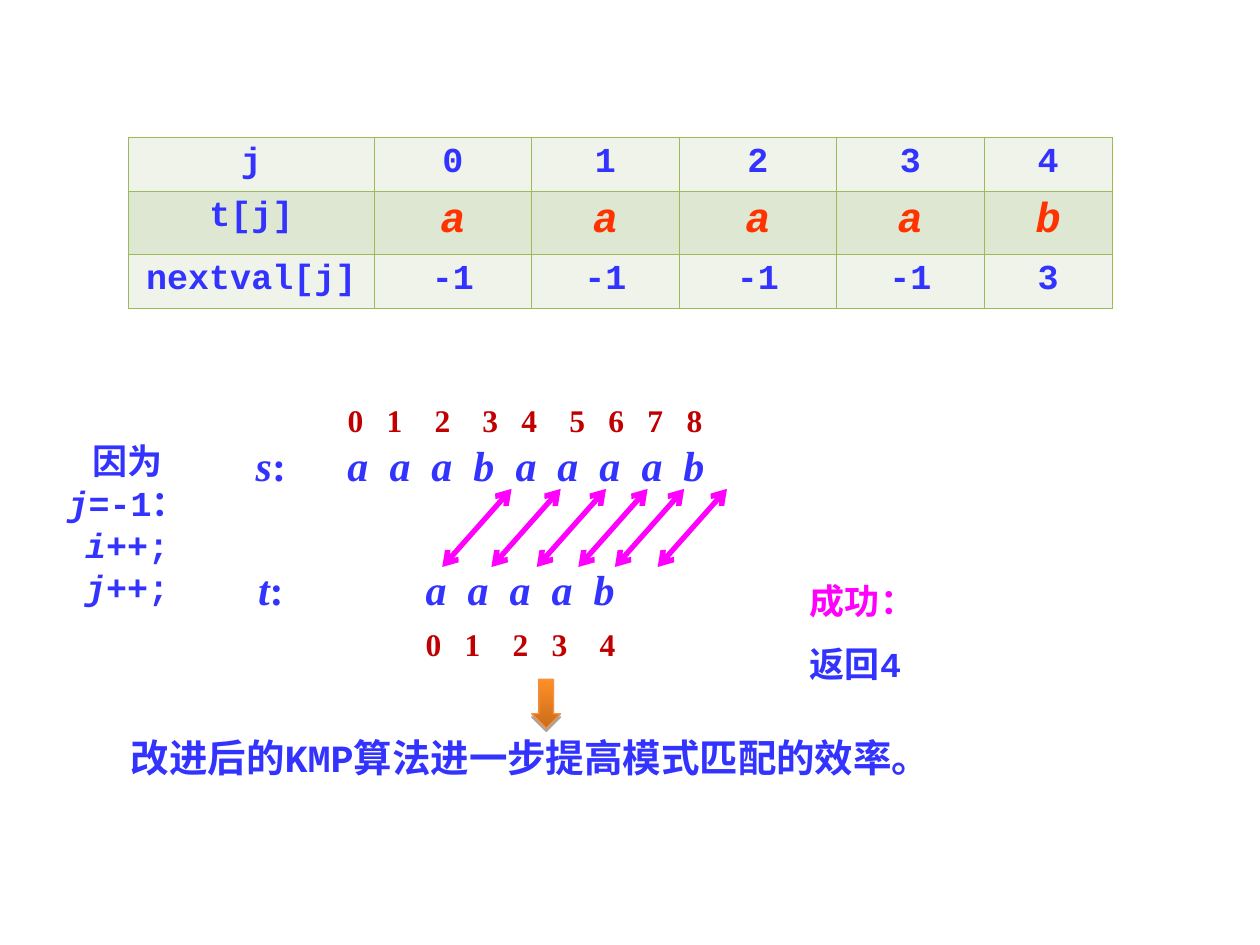
"""Build the slide on KMP matching with the nextval table."""
from pptx import Presentation
from pptx.dml.color import RGBColor
from pptx.enum.shapes import MSO_CONNECTOR, MSO_SHAPE
from pptx.enum.text import MSO_AUTO_SIZE, PP_ALIGN
from pptx.oxml import parse_xml
from pptx.oxml.ns import nsdecls
from pptx.util import Inches, Pt

COLORS = {
    "blue": "3333FF", "red": "FF3300", "index": "C00000", "pink": "FF00FF",
    "light": "EFF3EA", "green": "DEE7D1", "border": "9BBB59",
    "dark_orange": "CB6C1D", "orange": "FF8F26", "edge": "F69240",
}
MONO = {"name": "Courier New", "size": 20, "bold": True, "color": "blue"}
SERIF = {**MONO, "name": "Times New Roman", "size": 24}
LETTERS = {**SERIF, "italic": True}
INDEX = {**SERIF, "size": 18, "color": "index"}
CODE = {**MONO, "italic": True}
SYMBOL = {**MONO, "size": 24, "italic": True, "color": "red"}


def rgb(name):
    return RGBColor.from_string(COLORS[name])


def xml(tag, inner="", attrs=""):
    return parse_xml(f"<a:{tag} {nsdecls('a')} {attrs}>{inner}</a:{tag}>")


class SlideBuilder:
    def __init__(self, prs):
        self.s = prs.slides.add_slide(prs.slide_layouts[6])

    def runs(self, p, runs):
        for text, style in runs:
            r = p.add_run()
            r.text = text
            for key, value in style.items():
                if key == "color":
                    r.font.color.rgb = rgb(value)
                else:
                    setattr(r.font, key, Pt(value) if key == "size" else value)

    def text(self, x, y, w, h, paragraphs, **fmt):
        sp = self.s.shapes.add_textbox(*map(Inches, (x, y, w, h)))
        tf = sp.text_frame
        tf.word_wrap = True
        tf.auto_size = MSO_AUTO_SIZE.SHAPE_TO_FIT_TEXT
        for i, runs in enumerate(paragraphs):
            p = tf.add_paragraph() if i else tf.paragraphs[0]
            for key, value in fmt.items():
                setattr(p, key, value)
            self.runs(p, runs)
        return sp

    def sequence(self, x, y, w, h, items, gaps, style):
        sp = self.text(x, y, w, h, [[("\t".join(items), style)]])
        stops = [sum(gaps[:i + 1]) for i in range(len(gaps))]
        tabs = "".join(f'<a:tab pos="{Inches(stop)}" algn="l"/>' for stop in stops)
        sp.text_frame.paragraphs[0]._p.get_or_add_pPr().append(xml("tabLst", tabs))

    def double_arrow(self, x1, y1, x2, y2):
        c = self.s.shapes.add_connector(
            MSO_CONNECTOR.STRAIGHT, *map(Inches, (x1, y1, x2, y2)))
        c.line.color.rgb = rgb("pink")
        c.line.width = Pt(3)
        ln = c.line._get_or_add_ln()
        for tag in ("headEnd", "tailEnd"):
            ln.append(xml(tag, attrs='type="arrow"'))
        c._element.spPr.append(xml("effectLst"))

    def table(self, x, y, widths, heights, rows, fills):
        shape = self.s.shapes.add_table(
            len(heights), len(widths), Inches(x), Inches(y),
            Inches(sum(widths)), Inches(sum(heights)))
        table = shape.table
        for col, width in zip(table.columns, widths):
            col.width = Inches(width)
        for row, height, values, fill in zip(table.rows, heights, rows, fills):
            row.height = Inches(height)
            for cell, run in zip(row.cells, values):
                cell.fill.solid()
                cell.fill.fore_color.rgb = rgb(fill)
                p = cell.text_frame.paragraphs[0]
                p.alignment = PP_ALIGN.CENTER
                self.runs(p, [run])
                self.borders(cell)

    def borders(self, cell):
        line = f'<a:solidFill><a:srgbClr val="{COLORS["border"]}"/></a:solidFill>'
        for i, tag in enumerate(("lnL", "lnR", "lnT", "lnB")):
            cell._tc.get_or_add_tcPr().insert(i, xml(tag, line, f'w="{Pt(0.45)}"'))

    def down_arrow(self, x, y, w, h):
        sp = self.s.shapes.add_shape(
            MSO_SHAPE.DOWN_ARROW, *map(Inches, (x, y, w, h)))
        sp.fill.gradient()
        sp.fill.gradient_angle = 90
        for stop, name in zip(sp.fill.gradient_stops, ("dark_orange", "orange")):
            stop.color.rgb = rgb(name)
        sp.line.color.rgb = rgb("edge")
        sp.line.width = Pt(0.75)
        sp.shadow.inherit = False
        shade = '<a:srgbClr val="000000"><a:alpha val="35000"/></a:srgbClr>'
        attrs = f'blurRad="0" dist="{Pt(1.8)}" dir="5400000" rotWithShape="0"'
        sp._element.spPr.find(
            "{http://schemas.openxmlformats.org/drawingml/2006/main}effectLst"
        ).append(xml("outerShdw", shade, attrs))


def main():
    prs = Presentation()
    prs.slide_width, prs.slide_height = Inches(10), Inches(7.5)
    b = SlideBuilder(prs)
    center = {"alignment": PP_ALIGN.CENTER}

    b.table(
        1.02, 1.09, [1.95, 1.25, 1.17, 1.25, 1.17, 1.02], [0.43, 0.5, 0.43],
        [[(v, MONO) for v in ("j", *"01234")],
         [("t[j]", MONO)] + [(v, SYMBOL) for v in "aaaab"],
         [(v, MONO) for v in ("nextval[j]", "-1", "-1", "-1", "-1", "3")]],
        ["light", "green", "light"])

    pitch, near, far = 1 / 3, 0.31, 0.38
    b.sequence(2.66, 3.13, 3.28, 0.4, "012345678",
               [near, far, far, near, far, near, near, near], INDEX)
    b.sequence(2.66, 3.44, 3.36, 0.5, "aaabaaaab", [pitch] * 8, LETTERS)
    b.sequence(3.28, 4.42, 2.27, 0.5, "aaaab", [pitch] * 4, LETTERS)
    b.sequence(3.28, 4.91, 1.95, 0.4, "01234", [near, far, near, far], INDEX)
    for name, y in (("s", 3.44), ("t", 4.42)):
        b.text(1.8, y, 0.7, 0.5, [[(name, LETTERS), (":", SERIF)]], **center)
    for x in (4.06, 4.45, 4.81, 5.14, 5.43, 5.77):
        b.double_arrow(x, 3.88, x - 0.55, 4.5)

    b.text(0.23, 3.44, 1.56, 1.1,
           [[("因为", MONO), ("j", CODE), ("=-1：", MONO)],
            [("i", CODE), ("++;", MONO)],
            [("j", CODE), ("++;", MONO)]], **center)
    b.text(6.33, 4.38, 1.48, 1.1,
           [[("成功：", {**MONO, "color": "pink"})], [("返回4", MONO)]],
           line_spacing=1.5)
    b.text(0.94, 5.78, 7.58, 0.47,
           [[("改进后的KMP算法进一步提高模式匹配的效率。", {**MONO, "size": 22})]])
    b.down_arrow(4.22, 5.39, 0.23, 0.39)
    prs.save("out.pptx")


if __name__ == "__main__":
    main()
